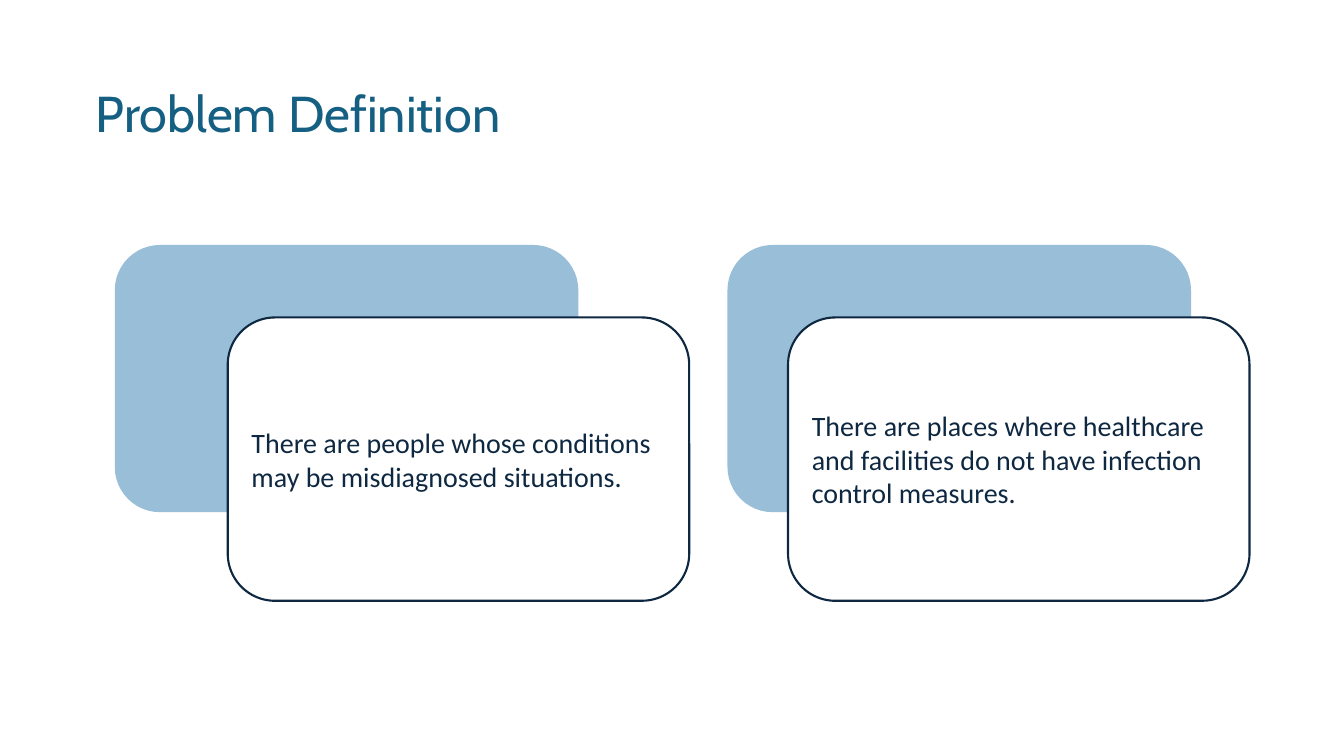
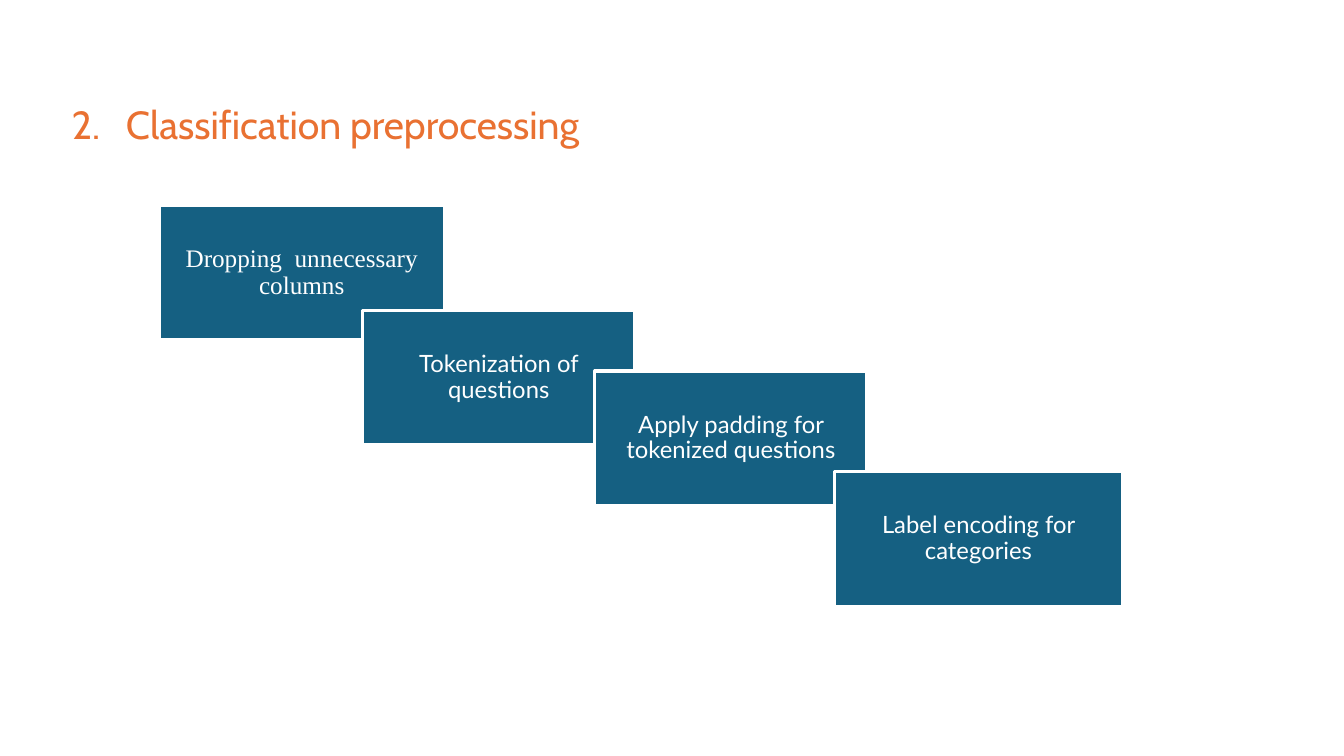
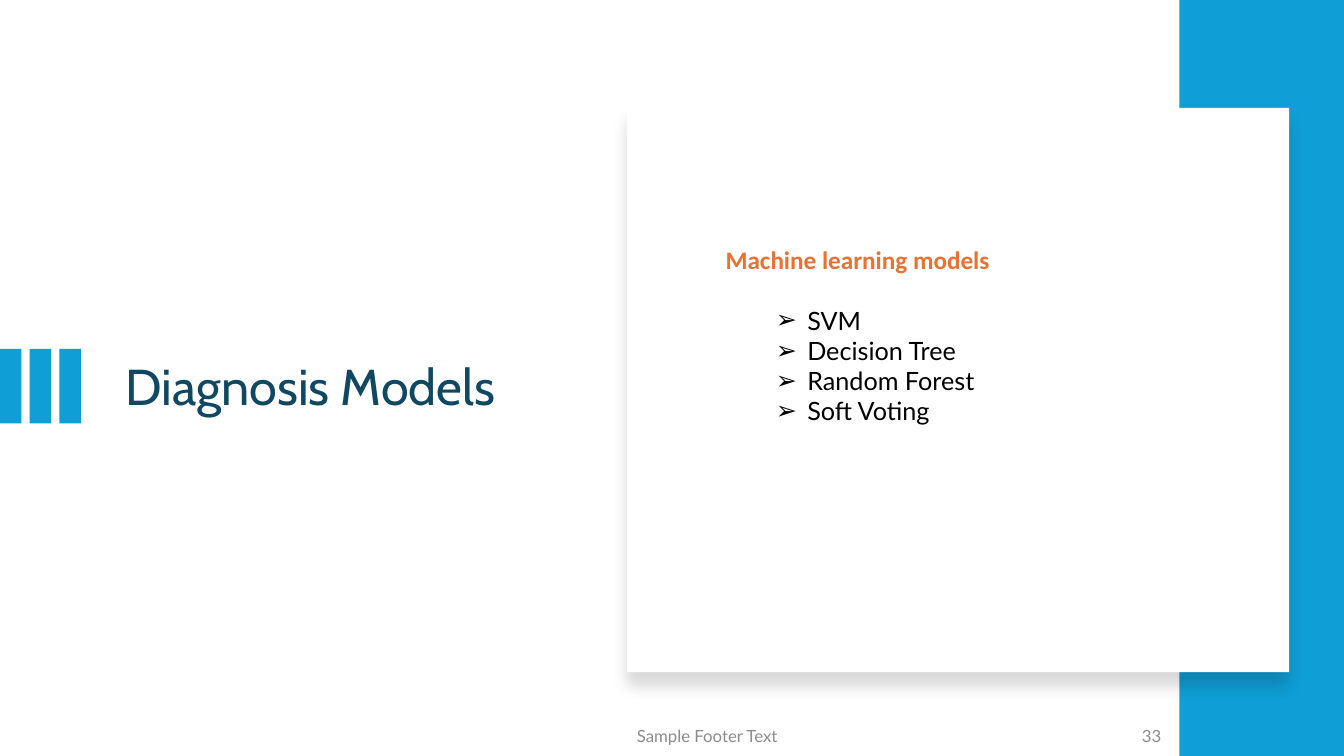
from typing import NamedTuple

from lxml import etree
from pptx import Presentation
from pptx.dml.color import RGBColor
from pptx.enum import shapes as es
from pptx.enum import text as et
from pptx.oxml.ns import qn
from pptx.util import Cm, Pt

WHITE = RGBColor(0xFF, 0xFF, 0xFF)
BLACK = RGBColor(0x00, 0x00, 0x00)
NAVY = RGBColor(0x0E, 0x28, 0x41)
TEAL = RGBColor(0x15, 0x60, 0x82)
DARK_TEAL = RGBColor(0x10, 0x48, 0x62)
PALE_BLUE = RGBColor(0x99, 0xBE, 0xD7)
BRIGHT_BLUE = RGBColor(0x0F, 0x9E, 0xD5)
ORANGE = RGBColor(0xE9, 0x71, 0x32)
GREY = RGBColor(0x8C, 0x8C, 0x8C)

TITLE_FONT, BODY_FONT, CARD_FONT = "Cabin", "Lato", "Calibri"
TITLE_ONLY, TITLE_AND_BODY = 5, 1
RECT = es.MSO_SHAPE.RECTANGLE
ROUND_RECT = es.MSO_SHAPE.ROUNDED_RECTANGLE
LEFT, CENTER, RIGHT = et.PP_ALIGN.LEFT, et.PP_ALIGN.CENTER, et.PP_ALIGN.RIGHT
TOP, MIDDLE = et.MSO_ANCHOR.TOP, et.MSO_ANCHOR.MIDDLE


class Box(NamedTuple):
    """Left, top, width and height in centimetres."""
    x: float
    y: float
    w: float
    h: float


class Card(NamedTuple):
    back_x: float
    front_x: float
    label: str


class Step(NamedTuple):
    x: float
    y: float
    w: float
    label: str
    font: str = BODY_FONT
    size: float = 17


CARDS = [
    Card(2.92, 5.74, "There are people whose conditions may be misdiagnosed situations."),
    Card(18.36, 19.86, "There are places where healthcare and facilities "
                       "do not have infection control measures."),
]
STEPS = [
    Step(4.01, 5.18, 7.19, "Dropping  unnecessary columns", "Times New Roman", 18),
    Step(9.14, 7.82, 6.86, "Tokenization of questions"),
    Step(14.99, 9.35, 6.86, "Apply padding for tokenized questions"),
    Step(21.03, 11.89, 7.26, "Label encoding for categories"),
]
MODELS = ["SVM", "Decision Tree", "Random Forest", "Soft Voting"]


def place(sp, box: Box) -> None:
    sp.left, sp.top, sp.width, sp.height = map(Cm, box)


def write(p, words: str, *, size: float, color: RGBColor, font: str = BODY_FONT,
          bold: bool = False, align=LEFT, spacing: float = 1.0, before: float = 0,
          margin: float = 0, hang: float = 0, bullet: str = "") -> None:
    """Fill one paragraph; margin and hang are in centimetres."""
    pPr = p._p.get_or_add_pPr()
    pPr.set("marL", str(Cm(margin)))
    pPr.set("indent", str(-Cm(hang)))
    if bullet:
        etree.SubElement(pPr, qn("a:buChar"), char=bullet)
    else:
        etree.SubElement(pPr, qn("a:buNone"))
    p.alignment, p.line_spacing = align, spacing
    p.space_before, p.space_after = Pt(before), Pt(0)
    r = p.add_run()
    r.text = words
    r.font.name, r.font.size, r.font.bold = font, Pt(size), bold
    r.font.color.rgb = color


def frame(sp, anchor=MIDDLE):
    """Prepare the text frame of a shape and return it."""
    tf = sp.text_frame
    tf.word_wrap, tf.auto_size = True, et.MSO_AUTO_SIZE.NONE
    tf.vertical_anchor = anchor
    return tf


def add_titled_slide(prs, layout: int, words: str, box: Box, color: RGBColor, *,
                     size: float = 36, anchor=MIDDLE, hang: float = 0):
    s = prs.slides.add_slide(prs.slide_layouts[layout])
    title = s.shapes.title
    place(title, box)
    write(frame(title, anchor).paragraphs[0], words, size=size, color=color,
          font=TITLE_FONT, spacing=0.9, margin=hang, hang=hang)
    return s


def add_block(shapes, kind, box: Box, fill: RGBColor, line: RGBColor | None = None,
              width: float = 1.5):
    sp = shapes.add_shape(kind, *map(Cm, box))
    sp.shadow.inherit = False
    sp.fill.solid()
    sp.fill.fore_color.rgb = fill
    if line is None:
        sp.line.fill.background()
    else:
        sp.line.color.rgb, sp.line.width = line, Pt(width)
    return sp


def add_soft_shadow(sp) -> None:
    effects = sp._element.spPr.find(qn("a:effectLst"))
    shadow = etree.SubElement(effects, qn("a:outerShdw"), blurRad=str(Pt(11)),
                              dist=str(Pt(10)), dir="5400000", algn="t", rotWithShape="0")
    color = etree.SubElement(shadow, qn("a:srgbClr"), val=str(BLACK))
    etree.SubElement(color, qn("a:alpha"), val="15000")


def add_footer(s, words: str, box: Box, align) -> None:
    sp = s.shapes.add_textbox(*map(Cm, box))
    write(frame(sp).paragraphs[0], words, size=12, color=GREY, align=align)


def problem_slide(prs) -> None:
    s = add_titled_slide(prs, TITLE_ONLY, "Problem Definition",
                         Box(2.16, 1.09, 30.81, 3.68), TEAL)
    for card in CARDS:
        add_block(s.shapes, ROUND_RECT, Box(card.back_x, 6.2, 11.63, 6.68),
                  PALE_BLUE, PALE_BLUE)
        front = add_block(s.shapes, ROUND_RECT, Box(card.front_x, 8, 11.63, 7.14),
                          WHITE, NAVY)
        write(frame(front).paragraphs[0], card.label, size=20, color=NAVY, font=CARD_FONT)


def preprocessing_slide(prs) -> None:
    s = add_titled_slide(prs, TITLE_ONLY, "2.\tClassification preprocessing",
                         Box(1.55, 2.54, 13.87, 1.35), ORANGE,
                         size=28, anchor=TOP, hang=1.37)
    for step in STEPS:
        sp = add_block(s.shapes, RECT, Box(step.x, step.y, step.w, 3.39), TEAL, WHITE, 2.25)
        tf = frame(sp)
        tf.margin_left = tf.margin_right = Cm(0.3)
        tf.margin_top = tf.margin_bottom = Cm(0.33)
        write(tf.paragraphs[0], step.label, size=step.size, color=WHITE,
              font=step.font, align=CENTER, spacing=0.9)


def models_slide(prs) -> None:
    s = add_titled_slide(prs, TITLE_AND_BODY, "Diagnosis Models",
                         Box(2.9, 3.71, 12.32, 12.17), DARK_TEAL)
    bars = s.shapes.add_group_shape()
    for i in range(3):
        add_block(bars.shapes, RECT, Box(0.75 * i, 8.79, 0.54, 1.88), BRIGHT_BLUE)
    add_block(s.shapes, RECT, Box(29.72, 0, 4.15, 19.05), BRIGHT_BLUE)
    add_soft_shadow(add_block(s.shapes, RECT, Box(15.8, 2.72, 16.69, 14.22), WHITE))
    add_footer(s, "Sample Footer Text", Box(15.8, 18.03, 11.1, 1.02), LEFT)
    add_footer(s, "33", Box(26.34, 18.03, 3.18, 1.02), RIGHT)

    body = s.placeholders[1]
    s.shapes._spTree.append(body._element)  # bring the list in front of the white card
    place(body, Box(18.03, 6.02, 13.44, 4.88))
    tf = frame(body, TOP)
    write(tf.paragraphs[0], "Machine learning models", size=18, color=ORANGE,
          font=CARD_FONT, bold=True)
    for i, model in enumerate(MODELS):
        p = tf.add_paragraph()
        p.level = 1
        write(p, model, size=18, color=BLACK, before=0 if i else 22,
              margin=2.06, hang=0.79, bullet="➢")


def main() -> None:
    prs = Presentation()
    prs.slide_width, prs.slide_height = Cm(33.87), Cm(19.05)
    problem_slide(prs)
    preprocessing_slide(prs)
    models_slide(prs)
    prs.save("out.pptx")


if __name__ == "__main__":
    main()
